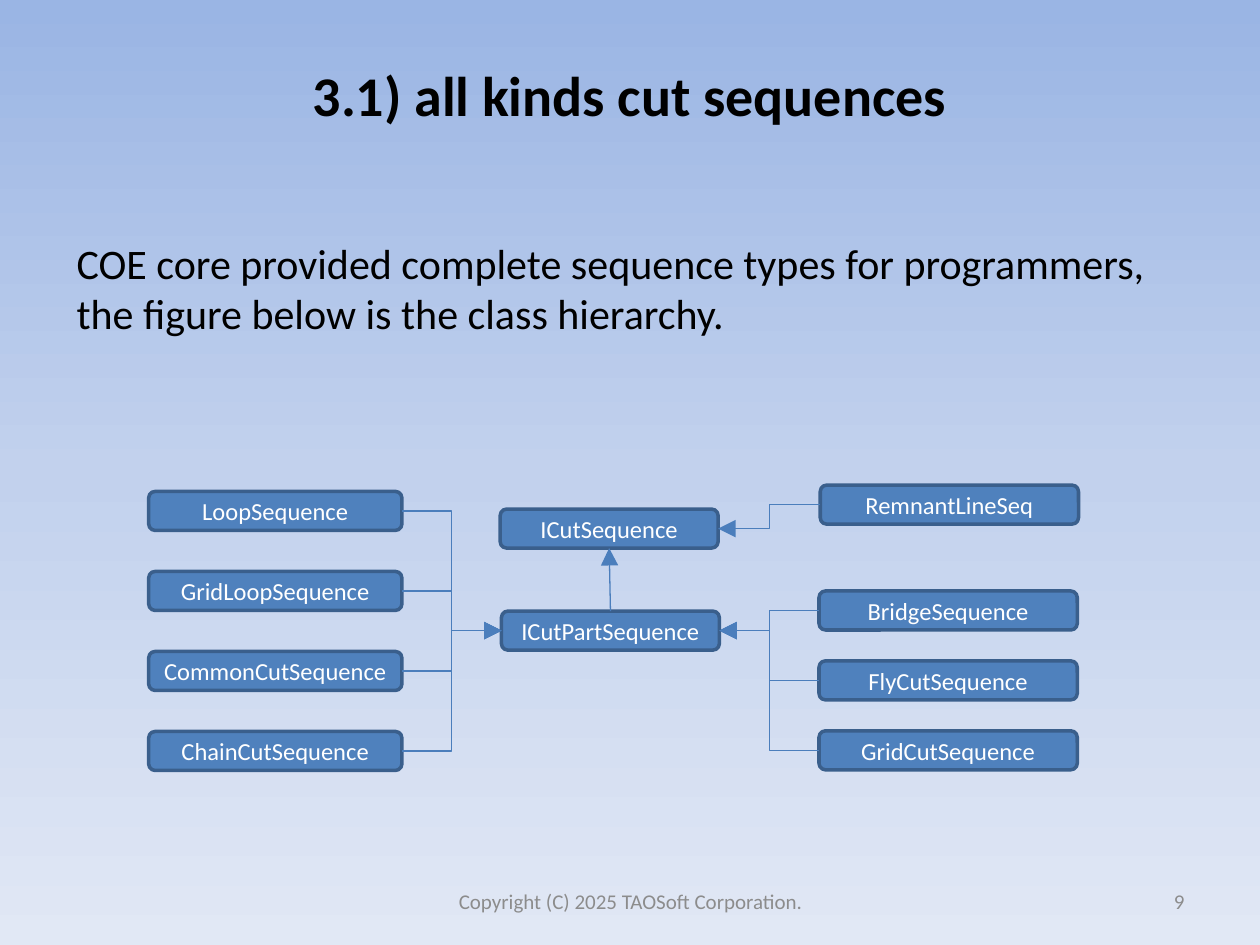
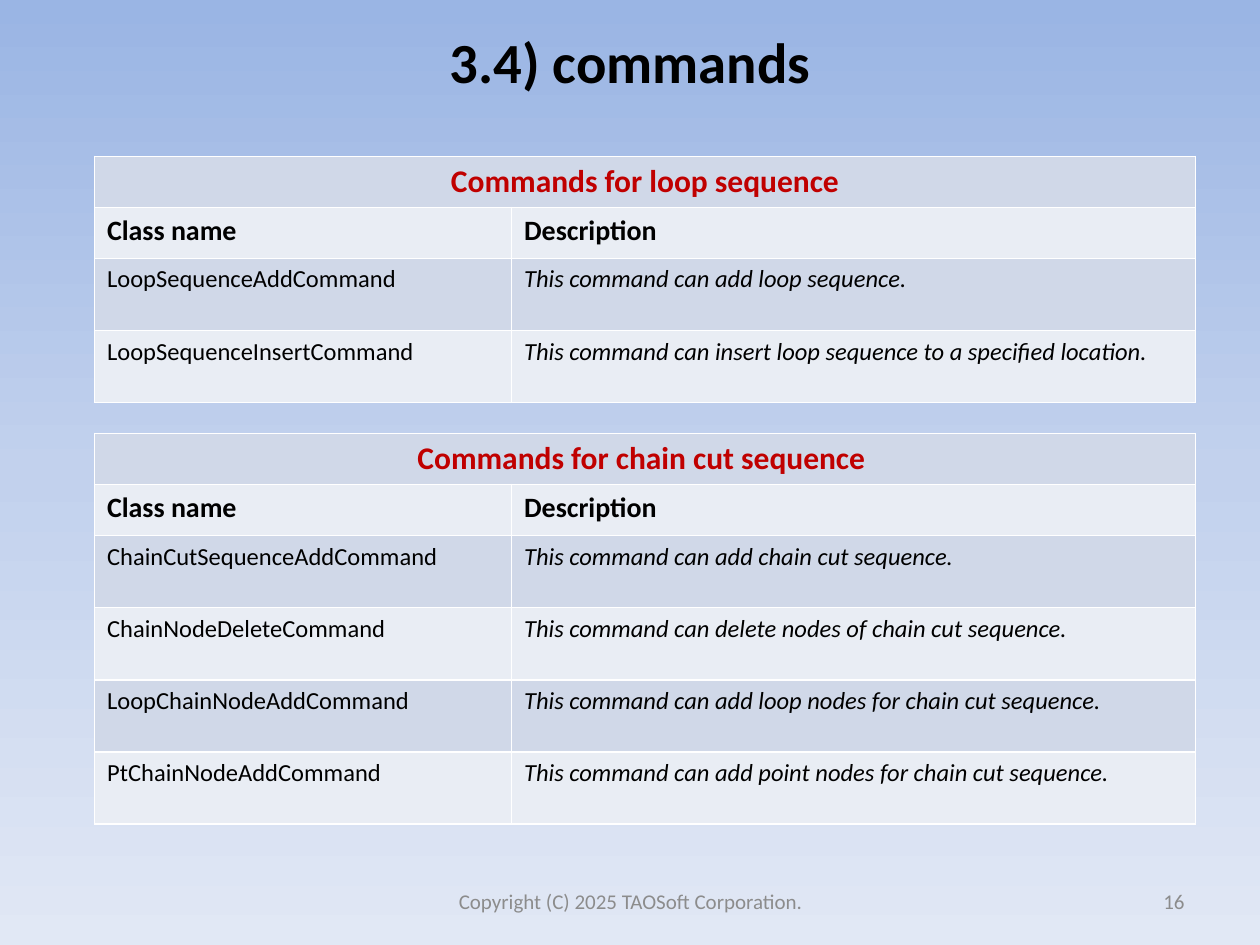
import copy

import pptx
import pptx.dml.color
import pptx.enum.shapes
import pptx.enum.text
import pptx.oxml
import pptx.oxml.ns
import pptx.util

RGB = pptx.dml.color.RGBColor
BLACK = RGB(0x00, 0x00, 0x00)
WHITE = RGB(0xFF, 0xFF, 0xFF)
GREY = RGB(0x8C, 0x8C, 0x8C)
RED = RGB(0xC0, 0x00, 0x00)
NODE_FILL = RGB(0x4F, 0x81, 0xBD)
NODE_LINE = RGB(0x3A, 0x5F, 0x8C)
ARROW = RGB(0x4B, 0x7E, 0xBC)
ROW_FILLS = (RGB(0xD0, 0xD8, 0xE8), RGB(0xE9, 0xED, 0xF4))
SKY = (RGB(0x9A, 0xB5, 0xE4), RGB(0xC2, 0xD1, 0xED), RGB(0xE1, 0xE8, 0xF5))

FONT = "Calibri"
ALIGN = pptx.enum.text.PP_ALIGN
UNIT = pptx.util.Inches(0.1)
COLUMNS, ROWS = 100, 75
NODE_HEIGHT = 3.1
TOP, LEFT, BOTTOM, RIGHT = range(4)
FOOTER = "Copyright (C) 2025 TAOSoft Corporation."

LOOP_COMMANDS = [
    ("LoopSequenceAddCommand", "This command can add loop sequence."),
    ("LoopSequenceInsertCommand", "This command can insert loop sequence to a specified location."),
]
CHAIN_COMMANDS = [
    ("ChainCutSequenceAddCommand", "This command can add chain cut sequence."),
    ("ChainNodeDeleteCommand", "This command can delete nodes of chain cut sequence."),
    ("LoopChainNodeAddCommand", "This command can add loop nodes for chain cut sequence."),
    ("PtChainNodeAddCommand", "This command can add point nodes for chain cut sequence."),
]


def grid(*counts):
    """Turn counts of grid units into lengths."""
    return [round(count * UNIT) for count in counts]


def write(frame, text, size, color=BLACK, align=ALIGN.LEFT, bold=False, italic=False):
    """Put one formatted paragraph into a text frame."""
    frame.text = text
    para = frame.paragraphs[0]
    para.alignment = align
    for span in para.runs:
        span.font.name = FONT
        span.font.size = pptx.util.Pt(size)
        span.font.bold = bold
        span.font.italic = italic
        span.font.color.rgb = color


def add_text(page, place, text, size, **style):
    """Add a wrapping, vertically centred text box."""
    frame = page.shapes.add_textbox(*grid(*place)).text_frame
    frame.word_wrap = True
    frame.vertical_anchor = pptx.enum.text.MSO_ANCHOR.MIDDLE
    write(frame, text, size, **style)


def paint_background(master):
    """Give every page the vertical sky gradient."""
    fill = master.background.fill
    fill.gradient()
    fill.gradient_angle = 270
    stops = next(master.element.iter(pptx.oxml.ns.qn("a:gsLst")))
    stops.insert(1, copy.deepcopy(stops[0]))
    for index, (stop, color) in enumerate(zip(fill.gradient_stops, SKY)):
        stop.position = index / 2
        stop.color.rgb = color


def add_page(deck, title, number, title_top, title_height, title_size):
    """Add a blank page with its title, footer and page number."""
    page = deck.slides.add_slide(deck.slide_layouts[6])
    add_text(page, (5, title_top, 90, title_height), title, title_size,
             align=ALIGN.CENTER, bold=True)
    add_text(page, (34.2, 69.5, 31.7, 4), FOOTER, 12, color=GREY, align=ALIGN.CENTER)
    add_text(page, (71.7, 69.5, 23.3, 4), str(number), 12, color=GREY, align=ALIGN.RIGHT)
    return page


def add_node(page, name, left, top, width):
    """Add a rounded box that names a class."""
    node = page.shapes.add_shape(pptx.enum.shapes.MSO_SHAPE.ROUNDED_RECTANGLE,
                                 *grid(left, top, width, NODE_HEIGHT))
    node.shadow.inherit = False
    node.fill.solid()
    node.fill.fore_color.rgb = NODE_FILL
    node.line.color.rgb = NODE_LINE
    node.line.width = pptx.util.Pt(2)
    node.text_frame.word_wrap = False
    node.text_frame.vertical_anchor = pptx.enum.text.MSO_ANCHOR.MIDDLE
    write(node.text_frame, name, 14, color=WHITE, align=ALIGN.CENTER)
    return node


def add_column(page, names, left, top, width, step):
    """Stack class boxes at equal steps."""
    return [add_node(page, name, left, top + step * index, width)
            for index, name in enumerate(names)]


def add_arrow(page, child, child_side, parent, parent_side, kind="ELBOW"):
    """Join a class to its parent with an arrow."""
    arrow = page.shapes.add_connector(pptx.enum.shapes.MSO_CONNECTOR[kind], 0, 0, 0, 0)
    arrow.begin_connect(child, child_side)
    arrow.end_connect(parent, parent_side)
    arrow.line.color.rgb = ARROW
    arrow.line.width = pptx.util.Pt(0.75)
    head = pptx.oxml.parse_xml(
        f'<a:tailEnd {pptx.oxml.ns.nsdecls("a")} type="triangle" w="lg" len="lg"/>')
    arrow.line._get_or_add_ln().append(head)
    arrow._element.spPr.append(
        pptx.oxml.parse_xml(f'<a:effectLst {pptx.oxml.ns.nsdecls("a")}/>'))


def style_cell(cell, fill):
    """Give a cell white borders and a solid fill."""
    for side in "LRTB":
        cell._tc.get_or_add_tcPr().append(pptx.oxml.parse_xml(
            f'<a:ln{side} {pptx.oxml.ns.nsdecls("a")} w="12700"><a:solidFill>'
            f'<a:srgbClr val="{WHITE}"/></a:solidFill></a:ln{side}>'))
    cell.fill.solid()
    cell.fill.fore_color.rgb = fill


def add_command_table(page, top, heading, commands):
    """Add a table of command classes under a merged heading."""
    heights = [4.05, 4.05] + [5.73] * len(commands)
    widths = [33.1, 54.3]
    table = page.shapes.add_table(len(heights), len(widths), *grid(
        7.5, top, sum(widths), sum(heights))).table
    table.first_row = table.horz_banding = False
    for column, width in zip(table.columns, grid(*widths)):
        column.width = width
    for index, (row, height) in enumerate(zip(table.rows, grid(*heights))):
        row.height = height
        for cell in row.cells:
            style_cell(cell, ROW_FILLS[index % 2])
    table.cell(0, 0).merge(table.cell(0, 1))
    write(table.cell(0, 0).text_frame, heading, 18, color=RED, align=ALIGN.CENTER, bold=True)
    for column, label in enumerate(("Class name", "Description")):
        write(table.cell(1, column).text_frame, label, 16, bold=True)
    for row, command in enumerate(commands, start=2):
        for column, text in enumerate(command):
            write(table.cell(row, column).text_frame, text, 14, italic=column == 1)


def build_hierarchy(deck):
    """Build the page with the class hierarchy."""
    page = add_page(deck, "3.1) all kinds cut sequences", 9, 3, 9, 32)
    add_text(page, (5.1, 17, 90, 11.7),
             "COE core provided complete sequence types for programmers, "
             "the figure below is the class hierarchy.", 24)
    base = add_node(page, "ICutSequence", 39.7, 40.4, 17.3)
    part = add_node(page, "ICutPartSequence", 39.8, 48.5, 17.3)
    remnant = add_node(page, "RemnantLineSeq", 65.1, 38.5, 20.5)
    loops = add_column(page, ("LoopSequence", "GridLoopSequence", "CommonCutSequence",
                              "ChainCutSequence"), 11.8, 39, 20.1, 6.35)
    cuts = add_column(page, ("BridgeSequence", "FlyCutSequence", "GridCutSequence"),
                      65, 46.9, 20.5, 5.55)
    add_arrow(page, part, TOP, base, BOTTOM, "STRAIGHT")
    add_arrow(page, remnant, LEFT, base, RIGHT)
    for node in loops:
        add_arrow(page, node, RIGHT, part, LEFT)
    for node in cuts:
        add_arrow(page, node, LEFT, part, RIGHT)


def build_commands(deck):
    """Build the page with the command tables."""
    page = add_page(deck, "3.4) commands", 16, 2.1, 5.5, 32.4)
    add_command_table(page, 12.4, "Commands for loop sequence", LOOP_COMMANDS)
    add_command_table(page, 34.4, "Commands for chain cut sequence ", CHAIN_COMMANDS)


def main():
    """Build and save the deck."""
    deck = pptx.Presentation()
    deck.slide_width, deck.slide_height = grid(COLUMNS, ROWS)
    paint_background(deck.slide_master)
    build_hierarchy(deck)
    build_commands(deck)
    deck.save("out.pptx")


if __name__ == "__main__":
    main()
